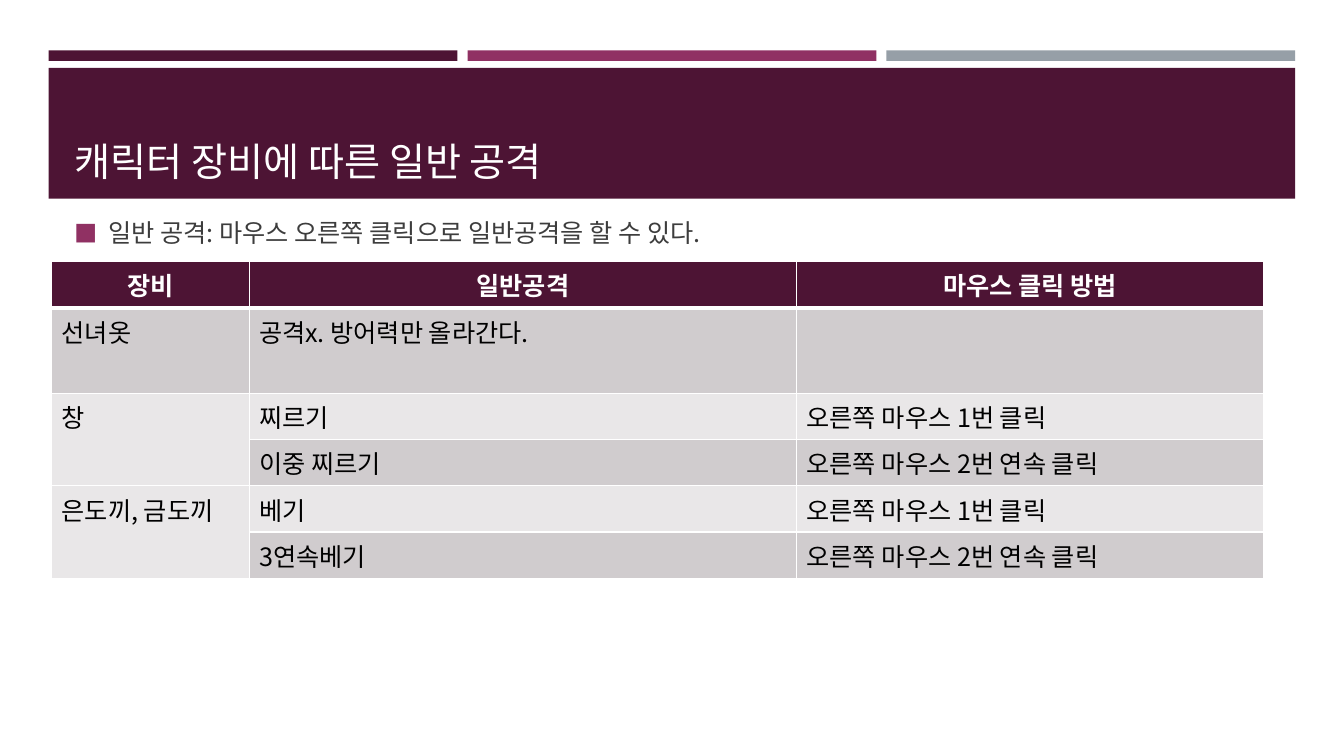
from lxml.etree import SubElement
from pptx import Presentation
from pptx.dml.color import RGBColor
from pptx.enum.shapes import MSO_SHAPE
from pptx.enum.text import MSO_ANCHOR, PP_ALIGN
from pptx.oxml.ns import qn
from pptx.util import Pt

FONT = "Noto Sans CJK KR"
PLUM, MAGENTA, GREY, WHITE = "4D1434", "903163", "969FA7", "FFFFFF"
INK, BLACK, DARK_BAND, LIGHT_BAND = "3D3D3D", "000000", "D0CCCE", "E9E7E8"

TITLE = "캐릭터 장비에 따른 일반 공격"
SUMMARY = "일반 공격: 마우스 오른쪽 클릭으로 일반공격을 할 수 있다."
ATTACKS = [
    ["장비", "일반공격", "마우스 클릭 방법"],
    ["선녀옷", "공격x. 방어력만 올라간다.", ""],
    ["창", "찌르기", "오른쪽 마우스 1번 클릭"],
    ["", "이중 찌르기", "오른쪽 마우스 2번 연속 클릭"],
    ["은도끼, 금도끼", "베기", "오른쪽 마우스 1번 클릭"],
    ["", "3연속베기", "오른쪽 마우스 2번 연속 클릭"],
]
COLUMN_WIDTHS = [141.1, 391, 333.4]
ROW_HEIGHTS = [33, 61.2, 33, 33, 33, 33]
SHARED_EQUIPMENT_ROWS = [2, 4]


def color(value):
    return RGBColor.from_string(value)


def apply_format(target, values):
    for name, value in values.items():
        setattr(target, name, value)


def write(paragraph, text, size, ink, bold=False):
    run = paragraph.add_run()
    run.text = text
    apply_format(run.font, {"name": FONT, "size": Pt(size), "bold": bold})
    run.font.color.rgb = color(ink)
    SubElement(run.font._element, qn("a:ea"), typeface=FONT)


def add_bar(slide, box, fill):
    bar = slide.shapes.add_shape(MSO_SHAPE.RECTANGLE, *map(Pt, box))
    bar.shadow.inherit = False
    bar.fill.solid()
    bar.fill.fore_color.rgb = color(fill)
    bar.line.fill.background()


def add_text_area(slide, box, anchor):
    frame = slide.shapes.add_textbox(*map(Pt, box)).text_frame
    apply_format(frame, {"word_wrap": True, "vertical_anchor": anchor})
    return frame.paragraphs[0]


def add_header(slide, box):
    left, top, width, height = box
    gap = 7.2
    stripe = (width - 2 * gap) / 3
    for index, fill in enumerate([PLUM, MAGENTA, GREY]):
        add_bar(slide, (left + index * (stripe + gap), top, stripe, 7.5), fill)
    add_bar(slide, (left, top + 12.5, width, height - 12.5), PLUM)
    title = add_text_area(
        slide, (left + 11.4, top + 19.5, width - 22.8, height - 26), MSO_ANCHOR.BOTTOM)
    write(title, TITLE, 28, WHITE)


def add_summary(slide, box):
    summary = add_text_area(slide, box, MSO_ANCHOR.MIDDLE)
    apply_format(summary, {"space_before": Pt(3.6), "space_after": Pt(6)})
    write(summary, SUMMARY, 18, INK)
    layout = summary._p.get_or_add_pPr()
    layout.set("marL", str(Pt(24)))
    layout.set("indent", str(Pt(-24)))
    bullet_color = SubElement(layout, qn("a:buClr"))
    SubElement(bullet_color, qn("a:srgbClr"), val=MAGENTA)
    SubElement(layout, qn("a:buSzPct"), val="92000")
    SubElement(layout, qn("a:buFont"), typeface=FONT)
    SubElement(layout, qn("a:buChar"), char="■")


def add_borders(cell, bottom, top):
    widths = {"a:lnL": 1, "a:lnR": 1, "a:lnT": top, "a:lnB": bottom}
    for side, width in widths.items():
        edge = SubElement(cell._tc.get_or_add_tcPr(), qn(side), w=str(Pt(width)))
        paint = SubElement(edge, qn("a:solidFill"))
        SubElement(paint, qn("a:srgbClr"), val=WHITE)


def add_attack_table(slide, box):
    table = slide.shapes.add_table(
        len(ATTACKS), len(COLUMN_WIDTHS), *map(Pt, box)).table
    table.horz_banding = False
    for column, width in zip(table.columns, COLUMN_WIDTHS):
        column.width = Pt(width)
    for row_index, entries in enumerate(ATTACKS):
        table.rows[row_index].height = Pt(ROW_HEIGHTS[row_index])
        heading = row_index == 0
        band = DARK_BAND if row_index % 2 else LIGHT_BAND
        for column_index, entry in enumerate(entries):
            cell = table.cell(row_index, column_index)
            add_borders(cell, 3 if heading else 1, 3 if row_index == 1 else 1)
            cell.fill.solid()
            cell.fill.fore_color.rgb = color(PLUM if heading else band)
            paragraph = cell.text_frame.paragraphs[0]
            paragraph.alignment = PP_ALIGN.CENTER if heading else PP_ALIGN.LEFT
            if entry:
                write(paragraph, entry, 18, WHITE if heading else BLACK, heading)
    for row_index in SHARED_EQUIPMENT_ROWS:
        table.cell(row_index, 0).merge(table.cell(row_index + 1, 0))


def main():
    deck = Presentation()
    apply_format(deck, {"slide_width": Pt(960), "slide_height": Pt(540)})
    slide = deck.slides.add_slide(deck.slide_layouts[6])
    add_header(slide, (34.8, 36, 890.4, 106))
    add_summary(slide, (46.2, 146.2, 868, 40.3))
    add_attack_table(slide, (36.9, 186.8, sum(COLUMN_WIDTHS), sum(ROW_HEIGHTS)))
    deck.save("out.pptx")


if __name__ == "__main__":
    main()
